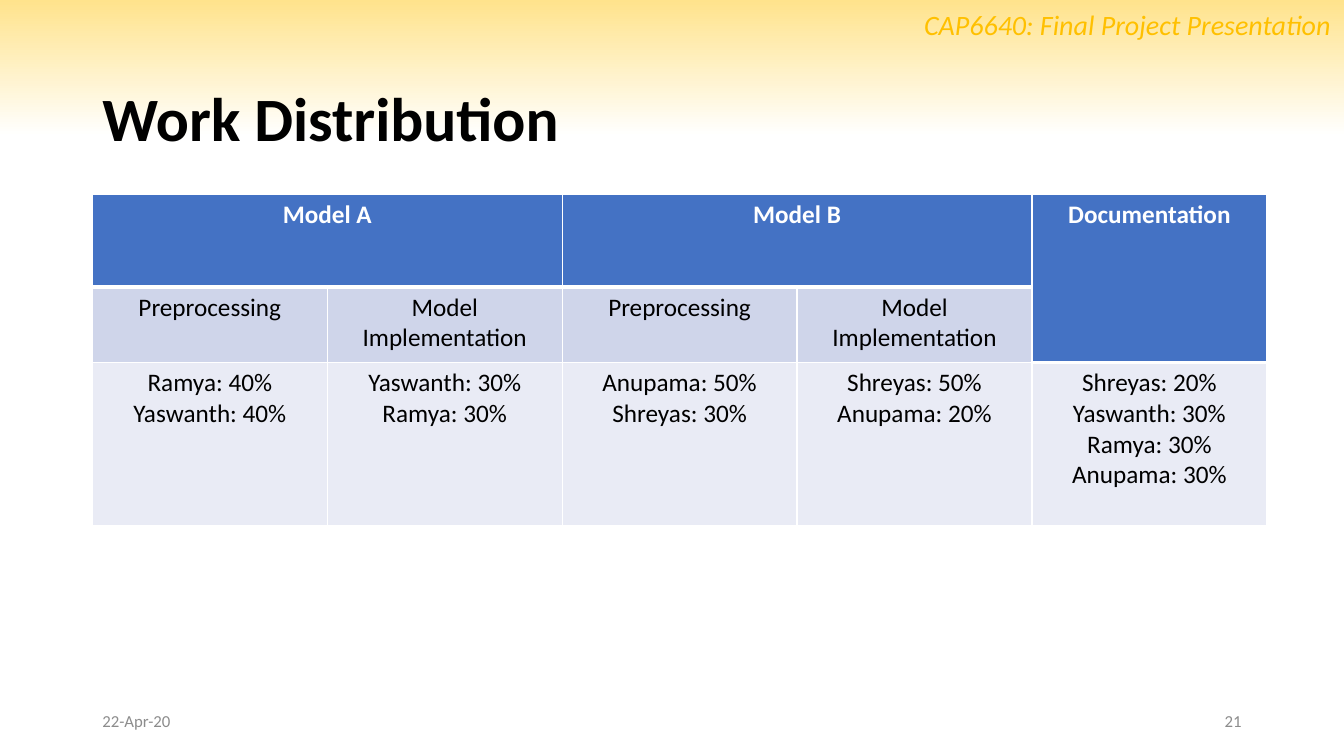
from dataclasses import dataclass

from lxml.etree import SubElement
from pptx import Presentation
from pptx.dml.color import RGBColor
from pptx.enum.text import MSO_ANCHOR, MSO_AUTO_SIZE, PP_ALIGN
from pptx.oxml.ns import qn
from pptx.util import Pt


@dataclass(frozen=True)
class Theme:
    font: str = "Calibri"
    black: str = "000000"
    white: str = "FFFFFF"
    gold: str = "FFC000"
    pale_gold: str = "FFE38C"
    gray: str = "8C8C8C"
    header_fill: str = "4472C4"
    task_fill: str = "CFD5EA"
    share_fill: str = "E9EBF5"
    title_size: int = 44
    course_size: int = 20
    table_size: int = 18
    footer_size: int = 12
    thin: float = 1
    thick: float = 3


class SlideBuilder:
    def __init__(self, slide, theme):
        self.slide = slide
        self.theme = theme

    def add_lines(self, frame, lines, size, color, align=PP_ALIGN.LEFT, bold=False, italic=False):
        for index, line in enumerate(lines):
            paragraph = frame.add_paragraph() if index else frame.paragraphs[0]
            paragraph.alignment = align
            run = paragraph.add_run()
            run.text = line
            font = run.font
            font.name, font.size = self.theme.font, Pt(size)
            font.bold, font.italic = bold, italic
            font.color.rgb = RGBColor.from_string(color)

    def background(self):
        fill = self.slide.background.fill
        fill.gradient()
        fill.gradient_angle = 90
        stops = ((0.82, self.theme.white), (1, self.theme.pale_gold))
        for stop, (position, color) in zip(fill.gradient_stops, stops):
            stop.position = position
            stop.color.rgb = RGBColor.from_string(color)

    def title(self, text, left, top, width, height):
        shape = self.slide.shapes.title
        shape.left, shape.top = Pt(left), Pt(top)
        shape.width, shape.height = Pt(width), Pt(height)
        frame = shape.text_frame
        frame.auto_size = MSO_AUTO_SIZE.NONE
        frame.vertical_anchor = MSO_ANCHOR.MIDDLE
        self.add_lines(frame, [text], self.theme.title_size, self.theme.black, bold=True)
        frame.paragraphs[0].line_spacing = 0.9

    def label(self, text, left, top, width, height, size, color,
              anchor=MSO_ANCHOR.MIDDLE, wrap=True, **style):
        box = self.slide.shapes.add_textbox(Pt(left), Pt(top), Pt(width), Pt(height))
        frame = box.text_frame
        frame.word_wrap = wrap
        frame.vertical_anchor = anchor
        self.add_lines(frame, [text], size, color, **style)

    def borders(self, cell, top, bottom):
        properties = cell._tc.get_or_add_tcPr()
        thin = self.theme.thin
        for side, width in (("L", thin), ("R", thin), ("T", top), ("B", bottom)):
            line = SubElement(properties, qn(f"a:ln{side}"), w=str(Pt(width)))
            fill = SubElement(line, qn("a:solidFill"))
            SubElement(fill, qn("a:srgbClr"), val=self.theme.white)

    def table(self, rows, merges, headers, left, top, column_width, row_heights):
        theme = self.theme
        column_count = len(rows[0])
        table = self.slide.shapes.add_table(
            len(rows), column_count, Pt(left), Pt(top),
            Pt(column_width * column_count), Pt(sum(row_heights))).table
        table.first_row = table.horz_banding = False
        for column in table.columns:
            column.width = Pt(column_width)
        for row, height in zip(table.rows, row_heights):
            row.height = Pt(height)
        for first, last in merges:
            table.cell(*first).merge(table.cell(*last))

        fills = (theme.header_fill, theme.task_fill, theme.share_fill)
        for row, texts in enumerate(rows):
            for column, lines in enumerate(texts):
                cell = table.cell(row, column)
                is_header = (row, column) in headers
                below_header = (row - 1, column) in headers
                self.borders(cell, theme.thick if below_header else theme.thin,
                             theme.thick if is_header else theme.thin)
                cell.fill.solid()
                cell.fill.fore_color.rgb = RGBColor.from_string(
                    theme.header_fill if is_header else fills[row])
                self.add_lines(cell.text_frame, lines, theme.table_size,
                               theme.white if is_header else theme.black,
                               PP_ALIGN.CENTER, bold=is_header)


def main():
    presentation = Presentation()
    presentation.slide_width, presentation.slide_height = Pt(960), Pt(540)
    slide = presentation.slides.add_slide(presentation.slide_layouts[5])
    theme = Theme()
    builder = SlideBuilder(slide, theme)

    # Background, course name and title
    builder.background()
    builder.label("CAP6640: Final Project Presentation", 653, 1.5, 307, 31.5,
                  theme.course_size, theme.gold, MSO_ANCHOR.TOP, wrap=False, italic=True)
    builder.title("Work Distribution", 66, 41, 828, 92)

    # Work shares by model and task; empty entries are covered by merged cells
    tasks = [["Preprocessing"], ["Model Implementation"]]
    rows = [
        [["Model A"], [], ["Model B"], [], ["Documentation"]],
        tasks * 2 + [[]],
        [["Ramya: 40%", "Yaswanth: 40%"],
         ["Yaswanth: 30%", "Ramya: 30%"],
         ["Anupama: 50%", "Shreyas: 30%"],
         ["Shreyas: 50%", "Anupama: 20%"],
         ["Shreyas: 20%", "Yaswanth: 30%", "Ramya: 30%", "Anupama: 30%"]],
    ]
    merges = [((0, 0), (0, 1)), ((0, 2), (0, 3)), ((0, 4), (1, 4))]
    headers = {(0, column) for column in range(5)} | {(1, 4)}
    builder.table(rows, merges, headers, 66, 139, 167.8, (66, 54, 116.5))

    # Date and slide number
    footer = (500.5, 216, 28.75, theme.footer_size, theme.gray)
    builder.label("22-Apr-20", 66, *footer)
    builder.label("21", 678, *footer, align=PP_ALIGN.RIGHT)

    presentation.save("out.pptx")


if __name__ == "__main__":
    main()
